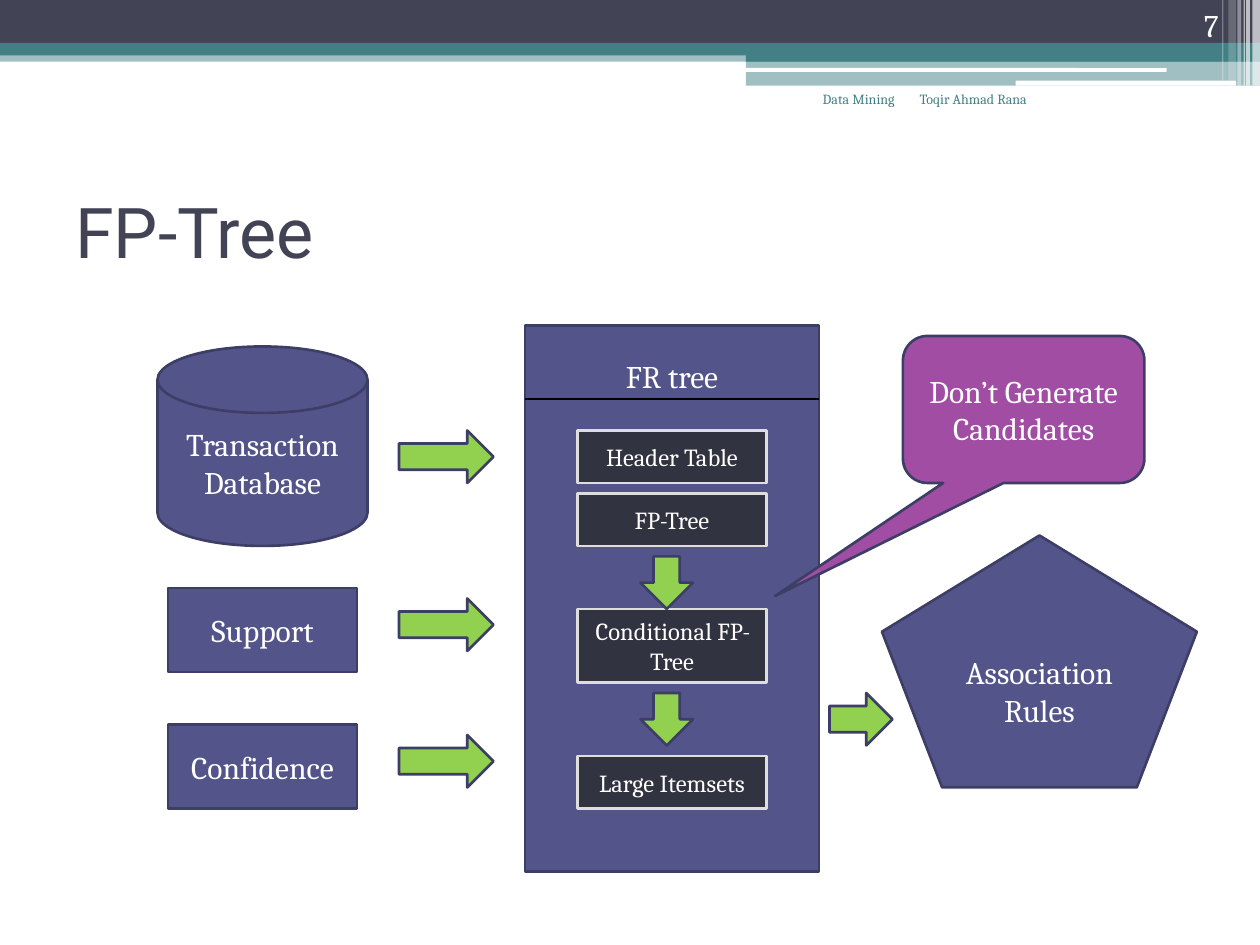
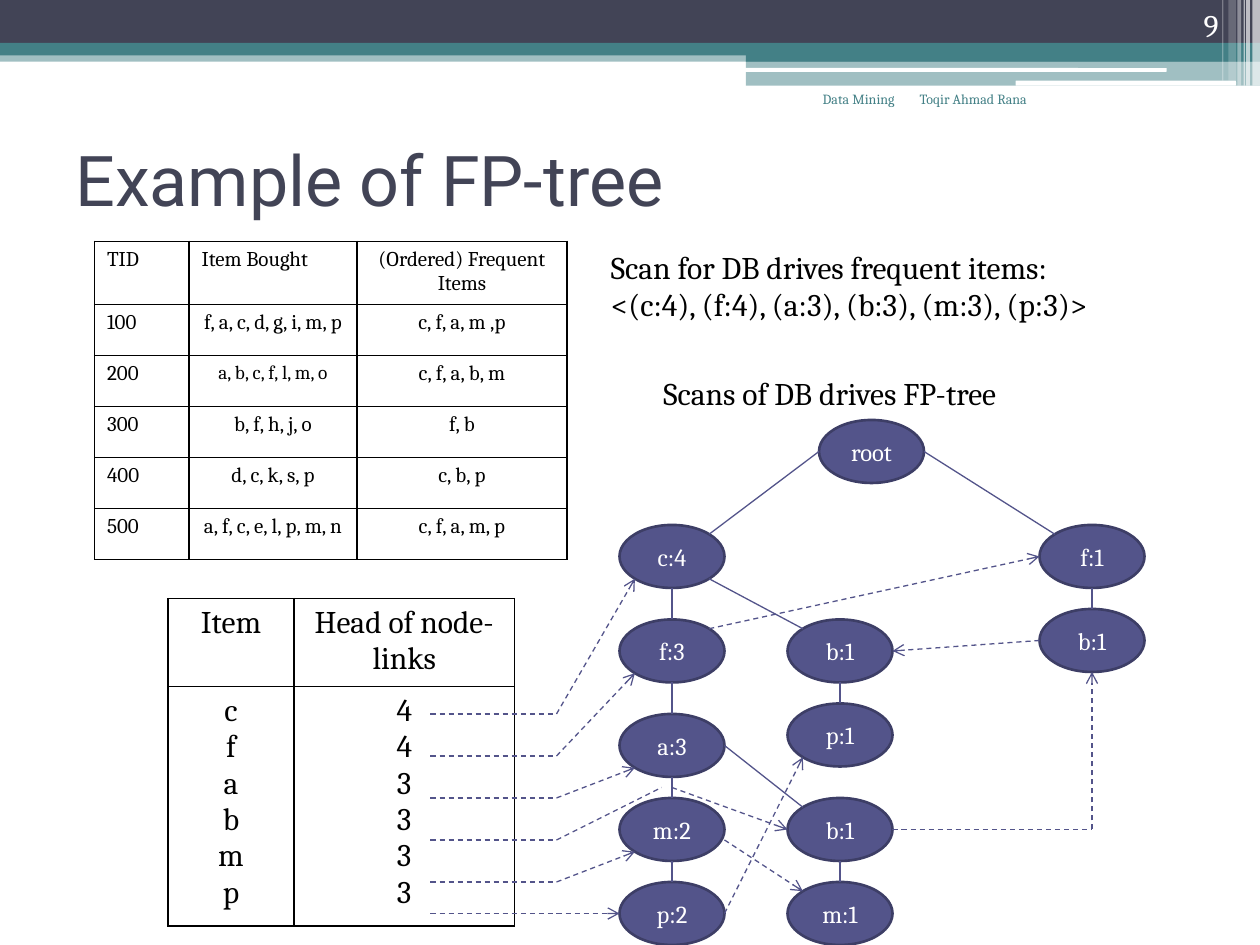
from math import sqrt

from lxml import etree
from pptx import Presentation
from pptx import util as u
from pptx.dml.color import RGBColor
from pptx.enum import dml, shapes, text
from pptx.oxml.ns import qn

INK = RGBColor(0x42, 0x44, 0x56)
TEAL = RGBColor(0x43, 0x80, 0x86)
INDIGO = RGBColor(0x53, 0x54, 0x8A)
EDGE = RGBColor(0x3D, 0x3E, 0x66)
DARK = RGBColor(0x32, 0x33, 0x41)
PALE = RGBColor(0xDE, 0xDE, 0xDE)
GREEN = RGBColor(0x92, 0xD0, 0x50)
PURPLE = RGBColor(0xA0, 0x4D, 0xA3)
WHITE = RGBColor(0xFF, 0xFF, 0xFF)
BLACK = RGBColor(0, 0, 0)

INCH = u.Inches(1)
GRID = INCH / 12  # the slide is 120 columns by 90 rows
KIND = shapes.MSO_SHAPE
LEFT, CENTER, RIGHT = text.PP_ALIGN.LEFT, text.PP_ALIGN.CENTER, text.PP_ALIGN.RIGHT
TOP, MIDDLE, BOTTOM = (text.MSO_ANCHOR.TOP, text.MSO_ANCHOR.MIDDLE,
                       text.MSO_ANCHOR.BOTTOM)


def write(tf, words, size=18, color=WHITE, font="Cambria", align=CENTER):
    for i, line in enumerate(words.split("\n")):
        p = tf.add_paragraph() if i else tf.paragraphs[0]
        p.alignment = align
        r = p.add_run()
        r.text = line
        r.font.size, r.font.name = u.Pt(size), font
        r.font.color.rgb = color


def draw(sl, kind, x, y, w, h, words="", fill=INDIGO, line=EDGE, opacity=100,
         anchor=MIDDLE, unit=GRID, **fmt):
    """Add a preset shape, or a text box when kind is None."""
    box = [u.Emu(round(n * unit)) for n in (x, y, w, h)]
    if kind is None:
        sp = sl.shapes.add_textbox(*box)
    else:
        sp = sl.shapes.add_shape(kind, *box)
        sp.shadow.inherit = False
        sp.fill.solid()
        sp.fill.fore_color.rgb = fill
        if opacity < 100:
            clr = sp.element.spPr.find(".//" + qn("a:srgbClr"))
            etree.SubElement(clr, qn("a:alpha"), val=str(opacity * 1000))
        if line is None:
            sp.line.fill.background()
        else:
            sp.line.color.rgb, sp.line.width = line, u.Pt(1.5)
    if words:
        sp.text_frame.word_wrap = True
        sp.text_frame.vertical_anchor = anchor
        write(sp.text_frame, words, **fmt)
    return sp


prs = Presentation()
prs.slide_width, prs.slide_height = u.Inches(10), u.Inches(7.5)

# Shared frame: bands (x, y, w, h in inches, colour, opacity), title, footers
bands = [
    (KIND.RECTANGLE, 0, 0.4, 10, 0.09, TEAL, 50),
    (KIND.RECTANGLE, 0, 0, 10, 0.34, INK, 100),
    (KIND.RECTANGLE, 0, 0.34, 10, 0.1, TEAL, 100),
    (KIND.RECTANGLE, 5.92, 0.39, 4.08, 0.1, TEAL, 100),
    (KIND.RECTANGLE, 5.92, 0.48, 4.08, 0.2, TEAL, 50),
    (KIND.ROUNDED_RECTANGLE, 5.91, 0.54, 3.35, 0.03, WHITE, 100),
    (KIND.ROUNDED_RECTANGLE, 8.06, 0.64, 1.75, 0.04, WHITE, 100),
    (KIND.RECTANGLE, 9.94, 0, 0.06, 0.68, WHITE, 65),
    (KIND.RECTANGLE, 9.89, 0, 0.03, 0.68, WHITE, 65),
    (KIND.RECTANGLE, 9.87, 0, 0.01, 0.68, WHITE, 60),
    (KIND.RECTANGLE, 9.82, 0, 0.03, 0.68, WHITE, 40),
    (KIND.RECTANGLE, 9.75, 0, 0.06, 0.64, WHITE, 20),
    (KIND.RECTANGLE, 9.7, 0, 0.01, 0.64, WHITE, 30),
]
slides = []
for title, title_row, number in [("FP-Tree", 15, "7"), ("Example of FP-tree", 10, "9")]:
    sl = prs.slides.add_slide(prs.slide_layouts[6])
    slides.append(sl)
    for kind, x, y, w, h, color, opacity in bands:
        draw(sl, kind, x, y, w, h, fill=color, line=None, opacity=opacity, unit=INCH)
    draw(sl, None, 6, title_row, 108, 14, title, size=40, color=INK, font="Roboto",
         align=LEFT)
    draw(sl, None, 7.2, 0.67, 1.05, 0.5, "Toqir Ahmad Rana", anchor=TOP, unit=INCH,
         size=8, color=TEAL, align=LEFT)
    draw(sl, None, 5.75, 0.67, 1.45, 0.5, "Data Mining", anchor=TOP, unit=INCH,
         size=8, color=TEAL, align=RIGHT)
    draw(sl, None, 8.94, 0, 0.83, 0.4, number, anchor=BOTTOM, unit=INCH, align=RIGHT)
flow, example = slides

# Flow from the inputs through the tree to the rules
draw(flow, KIND.FLOWCHART_MAGNETIC_DISK, 15, 33, 20, 19, "Transaction Database")
draw(flow, KIND.RECTANGLE, 16, 56, 18, 8, "Support")
draw(flow, KIND.RECTANGLE, 16, 69, 18, 8, "Confidence")
tree = draw(flow, KIND.RECTANGLE, 50, 31, 28, 52, "FR tree", anchor=TOP)
tree.text_frame.margin_top = u.Inches(0.25)
for step, y, h in [("Header Table", 41, 5), ("FP-Tree", 47, 5),
                   ("Conditional FP-Tree", 58, 7), ("Large Itemsets", 72, 5)]:
    draw(flow, KIND.RECTANGLE, 55, y, 18, h, step, fill=DARK, line=PALE, size=14)
draw(flow, KIND.REGULAR_PENTAGON, 84, 51, 30, 24, "Association Rules")
callout = draw(flow, KIND.ROUNDED_RECTANGULAR_CALLOUT, 86, 32, 23, 14,
               "Don’t Generate Candidates", fill=PURPLE)
callout.adjustments[0], callout.adjustments[1] = -1.03, 1.27
for y in (53, 66):
    draw(flow, KIND.DOWN_ARROW, 61, y, 5, 5, fill=GREEN)
for x, y, w in [(38, 41, 9), (38, 57, 9), (38, 70, 9), (79, 66, 6)]:
    draw(flow, KIND.RIGHT_ARROW, x, y, w, 5, fill=GREEN)

# Transactions and the header table: column, row, widths, heights, size, rows
transactions = [
    ("TID", "Item Bought", "(Ordered) Frequent Items"),
    ("100", "f, a, c, d, g, i, m, p", "c, f, a, m ,p"),
    ("200", "a, b, c, f, l, m, o", "c, f, a, b, m"),
    ("300", "b, f, h, j, o", "f, b"),
    ("400", "d, c, k, s, p", "c, b, p"),
    ("500", "a, f, c, e, l, p, m, n", "c, f, a, m, p"),
]
heads = [("Item", "Head of node-links"), ("c\nf\na\nb\nm\np", "4\n4\n3\n3\n3\n3")]
for x, y, widths, heights, size, rows in [
        (9, 23, (9, 16, 20), [4.86] * 6, 12, transactions),
        (16, 57, (12, 21), [8.4, 22.8], 18, heads)]:
    tbl = example.shapes.add_table(
        len(rows), len(widths),
        *[round(n * GRID) for n in (x, y, sum(widths), sum(heights))]).table
    tbl.first_row = tbl.horz_banding = False
    for col, w in zip(tbl.columns, widths):
        col.width = round(w * GRID)
    for row, h in zip(tbl.rows, heights):
        row.height = round(h * GRID)
    for i, row in enumerate(rows):
        for j, words in enumerate(row):
            cell = tbl.cell(i, j)
            cell.fill.background()
            left = rows is transactions and (j == 0 or (i, j) == (0, 1))
            small = rows is transactions and (i, j) == (2, 1)
            write(cell.text_frame, words, size=11 if small else size, color=BLACK,
                  align=LEFT if left else CENTER)
            tcPr = cell._tc.get_or_add_tcPr()
            for k, side in enumerate(("lnL", "lnR", "lnT", "lnB")):
                ln = etree.Element(qn("a:" + side), w=str(u.Pt(1)))
                solid = etree.SubElement(ln, qn("a:solidFill"))
                etree.SubElement(solid, qn("a:srgbClr"), val=str(BLACK))
                tcPr.insert(k, ln)

draw(example, None, 57, 23, 58, 8.5,
     "Scan for DB drives frequent items:\n<(c:4), (f:4), (a:3), (b:3), (m:3), (p:3)>",
     anchor=TOP, color=BLACK, align=LEFT)
draw(example, None, 62, 35, 48, 4.8, "Scans of DB drives FP-tree", anchor=TOP,
     color=BLACK, align=LEFT)

# Tree nodes by centre; each has eight compass points that links may use
RX, RY = 5, 3
nodes = {
    "root": ("root", 83, 43),
    "c": ("c:4", 64, 53), "f": ("f:3", 64, 62), "a": ("a:3", 64, 71),
    "m": ("m:2", 64, 79), "p": ("p:2", 64, 87),
    "cb": ("b:1", 80, 62), "cbp": ("p:1", 80, 70),
    "ab": ("b:1", 80, 79), "abm": ("m:1", 80, 87),
    "rf": ("f:1", 104, 53), "rfb": ("b:1", 104, 61),
}
D = 1 / sqrt(2)
compass = {"N": (0, -1), "NE": (D, -D), "E": (1, 0), "SE": (D, D),
           "S": (0, 1), "SW": (-D, D), "W": (-1, 0), "NW": (-D, -D)}
site = {f"{name} {way}": (x + dx * RX, y + dy * RY)
        for name, (label, x, y) in nodes.items() for way, (dx, dy) in compass.items()}
for label, x, y in nodes.values():
    draw(example, KIND.OVAL, x - RX, y - RY, 2 * RX, 2 * RY, label, size=14)

branches = [
    ("root W", "c NE"), ("root E", "rf NW"), ("c S", "f N"), ("f S", "a N"),
    ("a S", "m N"), ("m S", "p N"), ("c SE", "cb NW"), ("cb S", "cbp N"),
    ("a E", "ab NW"), ("ab S", "abm N"), ("rf S", "rfb N"),
]
bend, corner = 53, (104, 79)
leaders = [(68, site["c SW"]), (72, site["f SW"]), (76, site["a SW"]),
           (80, (63, 75)), (84, site["m SW"]), (87, site["p W"])]
node_links = [
    ((64, 75), site["ab W"]), (site["p E"], site["cbp SW"]),
    ((69, 80), site["abm NW"]), (site["f NE"], site["rf W"]),
    (corner, site["rfb S"]), (site["rfb W"], site["cb E"]),
]

# Every line: slide, start, end, colour, dashed, arrowhead
lines = [(flow, (50, 38), (78, 38), BLACK, False, False)]
lines += [(example, site[a], site[b], INDIGO, False, False) for a, b in branches]
lines += [(example, (41, y), (bend, y), INDIGO, True, False) for y, end in leaders]
lines += [(example, (bend, y), end, INDIGO, True, y != 80) for y, end in leaders]
lines += [(example, a, b, INDIGO, True, True) for a, b in node_links]
lines += [(example, site["ab E"], corner, INDIGO, True, False)]
for sl, start, end, color, dashed, arrow in lines:
    cx = sl.shapes.add_connector(shapes.MSO_CONNECTOR.STRAIGHT,
                                 *[round(n * GRID) for n in start + end])
    cx.line.color.rgb, cx.line.width = color, u.Pt(0.75)
    if dashed:
        cx.line.dash_style = dml.MSO_LINE.DASH
    if arrow:
        etree.SubElement(cx.line._get_or_add_ln(), qn("a:tailEnd"), type="arrow")
    etree.SubElement(cx.element.spPr, qn("a:effectLst"))

prs.save("out.pptx")
